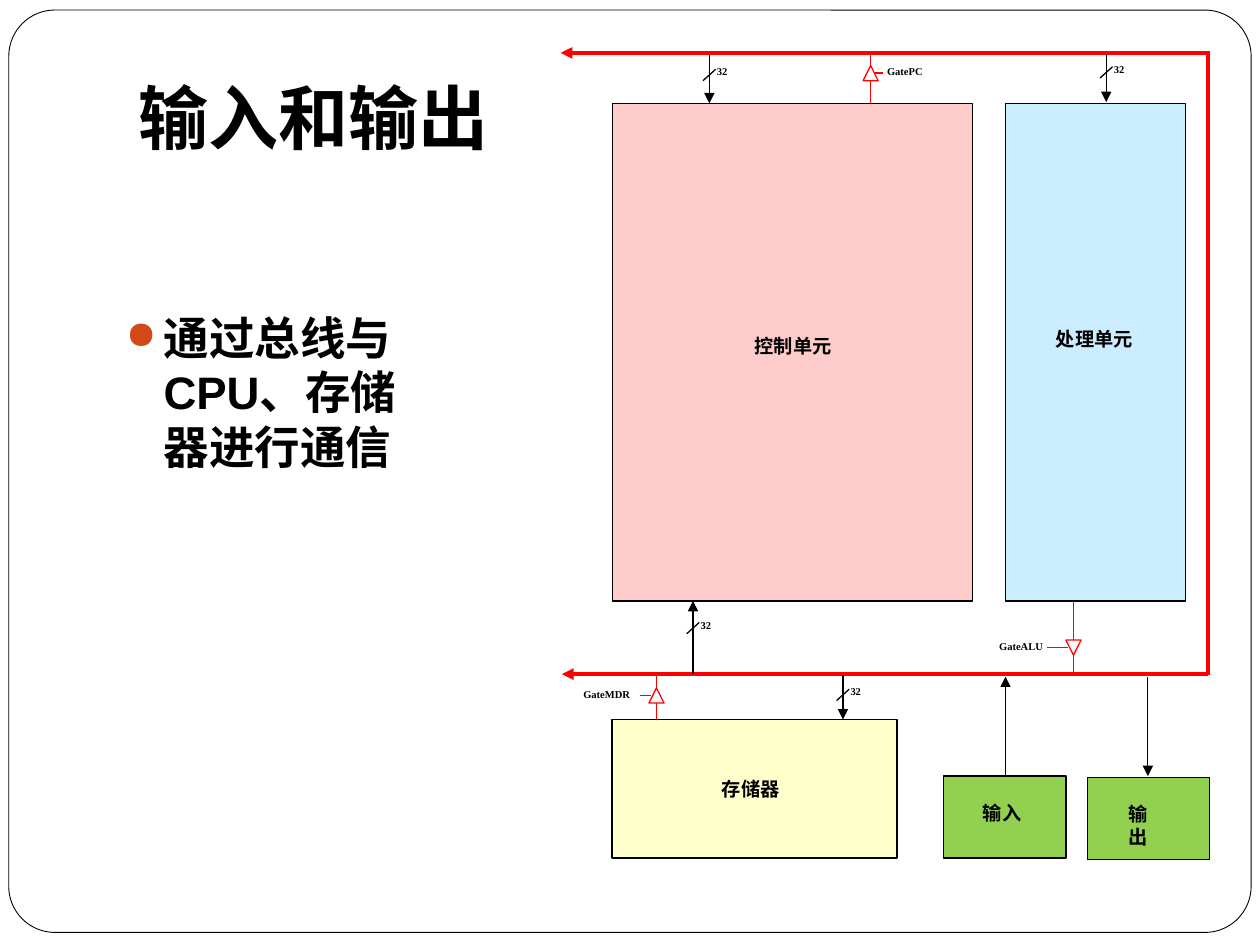
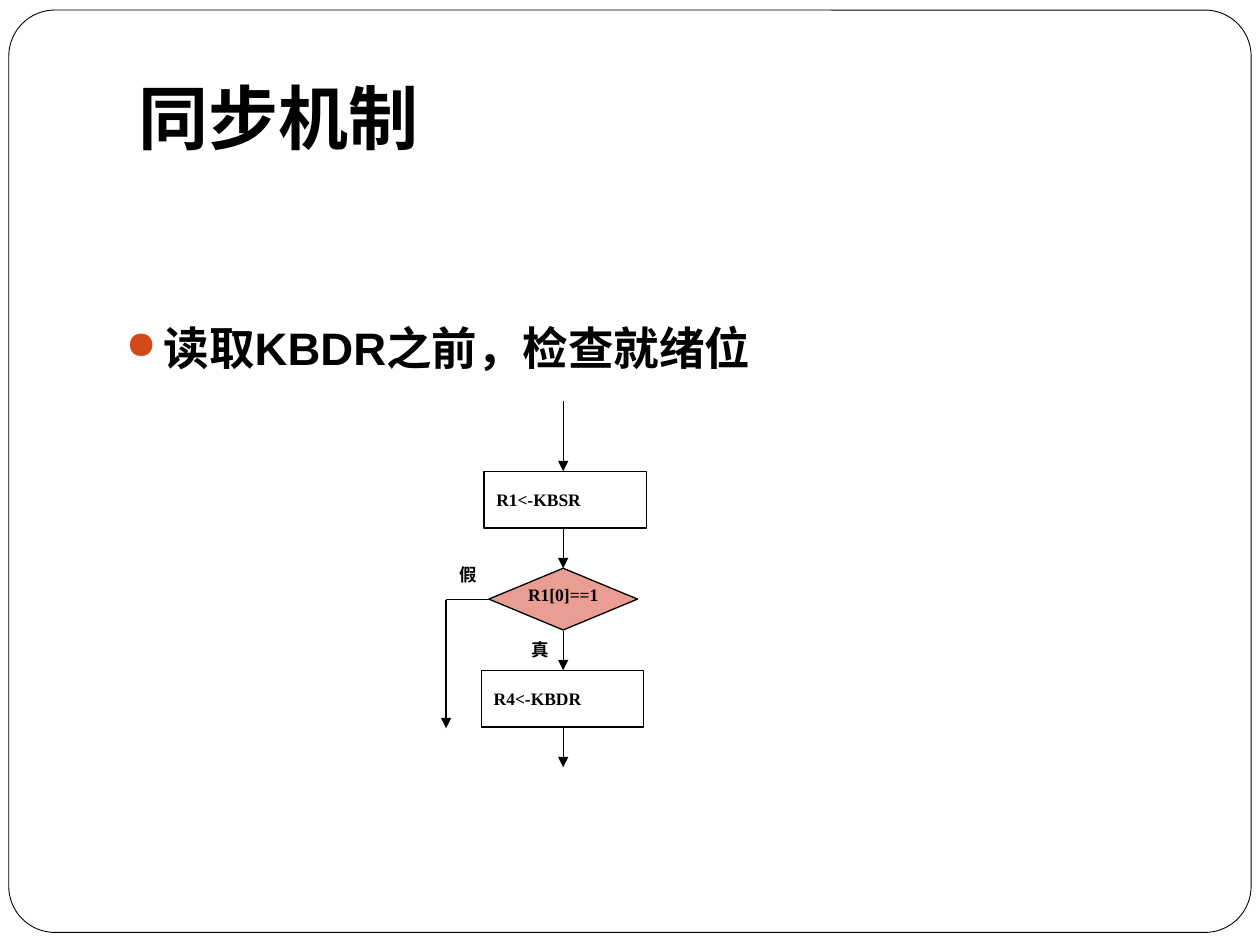
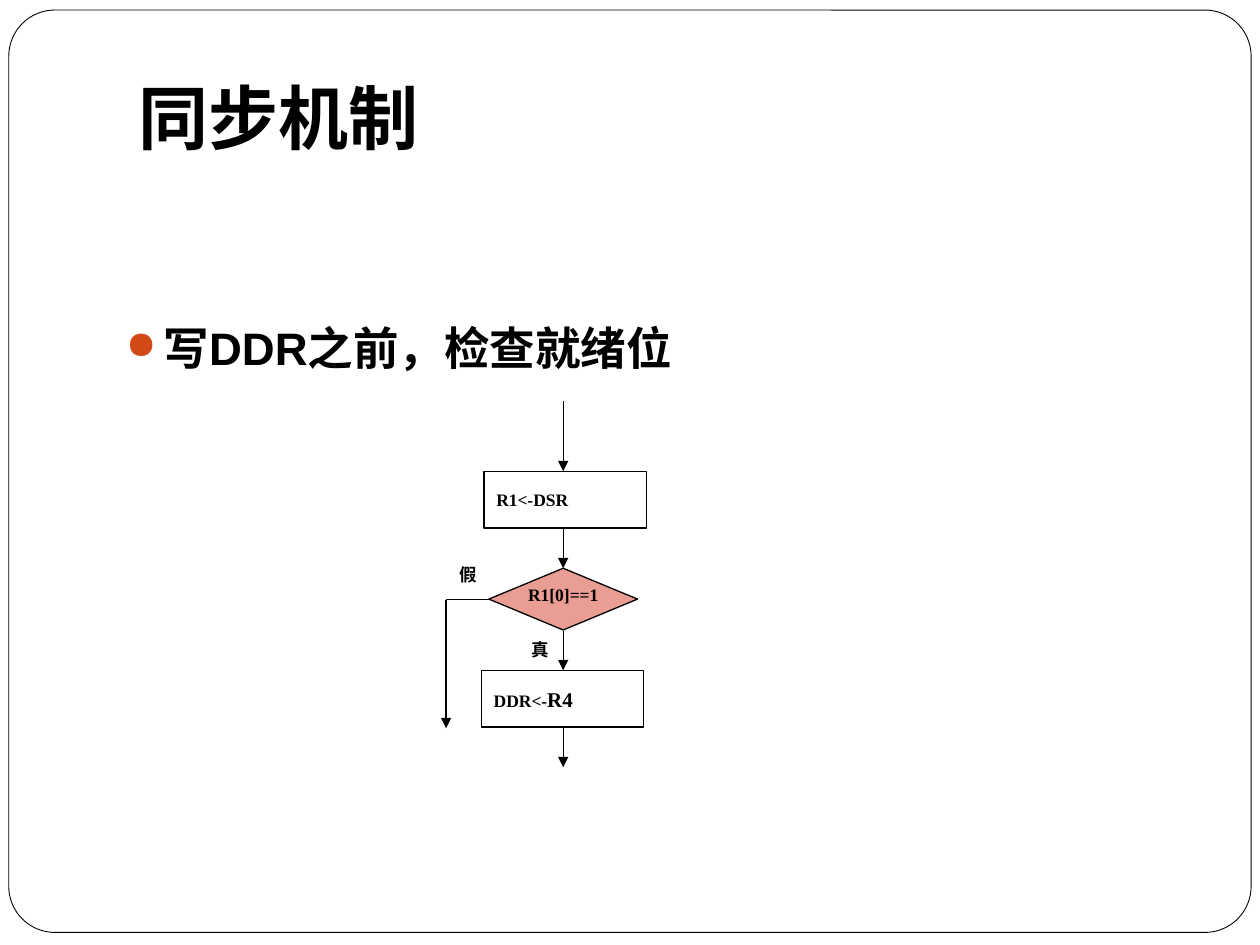
from lxml import etree
from pptx import Presentation
from pptx.dml.color import RGBColor
from pptx.enum.lang import MSO_LANGUAGE_ID
from pptx.enum.shapes import MSO_CONNECTOR, MSO_SHAPE
from pptx.enum.text import MSO_ANCHOR, PP_ALIGN
from pptx.oxml.ns import qn
from pptx.util import Inches, Pt

STRAIGHT = MSO_CONNECTOR.STRAIGHT
RECTANGLE = MSO_SHAPE.RECTANGLE
ROUNDED = MSO_SHAPE.ROUNDED_RECTANGLE
DIAMOND = MSO_SHAPE.FLOWCHART_DECISION
TRIANGLE_UP = MSO_SHAPE.FLOWCHART_EXTRACT
TRIANGLE_DOWN = MSO_SHAPE.FLOWCHART_MERGE
LEFT, CENTER, JUSTIFY = PP_ALIGN.LEFT, PP_ALIGN.CENTER, PP_ALIGN.JUSTIFY
TOP, MIDDLE = MSO_ANCHOR.TOP, MSO_ANCHOR.MIDDLE
CHINESE = MSO_LANGUAGE_ID.SIMPLIFIED_CHINESE

SANS, SERIF = "Arial", "Times New Roman"
COLORS = {
    "ink": "000000",
    "paper": "FFFFFF",
    "bus": "FF0000",
    "bullet": "D34817",
    "control": "FFCCCC",
    "processing": "CCECFF",
    "memory": "FFFFCC",
    "device": "92D050",
    "decision": "E99D93",
}
TITLE_ONLY = 5


def color(name):
    return RGBColor.from_string(COLORS[name])


# Text
def add_bullet(para):
    properties = para._p.get_or_add_pPr()
    properties.set("marL", str(Inches(0.3)))
    properties.set("indent", str(Inches(-0.3)))
    bullet_color = etree.SubElement(properties, qn("a:buClr"))
    etree.SubElement(bullet_color, qn("a:srgbClr"), val=COLORS["bullet"])
    etree.SubElement(properties, qn("a:buSzPct"), val="85000")
    etree.SubElement(properties, qn("a:buChar"), char="●")


def write(shape, text, size=10, font=SERIF, align=LEFT, anchor=TOP,
          insets=(0, 0), bullet=False):
    """Fill a shape with one bold paragraph; text is a string or (text, size) pairs."""
    frame = shape.text_frame
    frame.word_wrap = True
    frame.vertical_anchor = anchor
    frame.margin_left = frame.margin_right = Inches(insets[0])
    frame.margin_top = frame.margin_bottom = Inches(insets[1])
    para = frame.paragraphs[0]
    para.alignment = align
    if bullet:
        add_bullet(para)
    for words, points in [(text, size)] if isinstance(text, str) else text:
        span = para.add_run()
        span.text = words
        span.font.name = font
        span.font.size = Pt(points)
        span.font.bold = True
        span.font.color.rgb = color("ink")
        span.font.language_id = CHINESE


def add_label(page, text, left, top, width, height, **style):
    box = page.shapes.add_textbox(*map(Inches, (left, top, width, height)))
    write(box, text, **style)


# Shapes and lines
def add_block(page, kind, left, top, width, height, fill=None, line="ink", weight=0.75):
    block = page.shapes.add_shape(kind, *map(Inches, (left, top, width, height)))
    block.shadow.inherit = False
    if fill:
        block.fill.solid()
        block.fill.fore_color.rgb = color(fill)
    else:
        block.fill.background()
    block.line.color.rgb = color(line)
    block.line.width = Pt(weight)
    return block


def add_line(page, start, end, line="ink", weight=0.75, arrow=False):
    link = page.shapes.add_connector(STRAIGHT, *map(Inches, (*start, *end)))
    link.line.color.rgb = color(line)
    link.line.width = Pt(weight)
    if arrow:
        etree.SubElement(link.line._get_or_add_ln(), qn("a:tailEnd"), type="triangle")
    etree.SubElement(link._element.spPr, qn("a:effectLst"))


# Slide base: frame, title and bullet text
def add_page(deck, title, bullet, area):
    page = deck.slides.add_slide(deck.slide_layouts[TITLE_ONLY])
    heading = page.shapes.title
    heading.left, heading.top = Inches(1), Inches(0.3)
    heading.width, heading.height = Inches(8.5), Inches(1.25)
    write(heading, title, size=40, font=SANS, anchor=MIDDLE, insets=(0.1, 0.05))
    frame = add_block(page, ROUNDED, 0.07, 0.08, 9.86, 7.32, "paper", weight=0.5)
    frame.adjustments[0] = 0.05
    heading.element.addprevious(frame.element)
    add_label(page, bullet, *area, size=26, font=SANS, insets=(0.1, 0.05), bullet=True)
    return page


# Bus diagram parts
def add_tap(page, x, start, end, slash_y):
    """Black arrow between bus and unit, marked as 32 bits wide."""
    add_line(page, (x, start), (x, end), arrow=True)
    add_line(page, (x + 0.05, slash_y - 0.05), (x - 0.05, slash_y + 0.04))
    add_label(page, "32", x + 0.06, slash_y - 0.08, 0.12, 0.17, size=6)


def add_gate(page, name, kind, x, top, bottom, gate_top, lead, label_left):
    """Red wire with a triangular gate, a control lead and a name."""
    size = 0.12
    add_line(page, (x, top), (x, gate_top), "bus")
    add_line(page, (x, gate_top + size), (x, bottom), "bus")
    add_block(page, kind, x - size / 2, gate_top, size, size, line="bus")
    lead_y = gate_top + size / 2
    add_line(page, (lead[0], lead_y), (lead[1], lead_y), "bus")
    add_label(page, name, label_left, gate_top, 0.47, 0.17, size=6)


def build_bus_slide(deck):
    page = add_page(deck, "输入和输出", "通过总线与CPU、存储器进行通信", (0.9, 2.41, 2.6, 3))
    # Units: block place, fill, outline, name and label place
    units = [
        ((7.98, 0.82, 1.43, 3.95), "processing", 0.75, "处理单元", (8.38, 2.6, 0.81, 0.39)),
        ((4.86, 0.82, 2.86, 3.95), "control", 0.75, "控制单元", (5.99, 2.65, 0.84, 0.39)),
        ((4.86, 5.71, 2.26, 1.1), "memory", 1, "存储器", (5.73, 6.17, 0.48, 0.24)),
        ((7.49, 6.16, 0.97, 0.65), "device", 0.75, "输入", (7.8, 6.36, 0.4, 0.18)),
        ((8.63, 6.17, 0.97, 0.65), "device", 0.75, "输出", (8.96, 6.37, 0.3, 0.17)),
    ]
    for place, fill, weight, name, label_place in units:
        add_block(page, RECTANGLE, *place, fill, weight=weight)
        add_label(page, name, *label_place, size=11)
    # Bus
    add_line(page, (9.6, 0.42), (4.45, 0.42), "bus", 2.25, arrow=True)
    add_line(page, (9.59, 0.42), (9.59, 5.36), "bus", 2.25)
    add_line(page, (9.59, 5.35), (4.46, 5.35), "bus", 2.25, arrow=True)
    # Connections
    for tap in [(5.5, 5.35, 4.77, 4.99), (6.69, 5.36, 5.71, 5.52),
                (5.63, 0.44, 0.82, 0.6), (8.78, 0.43, 0.81, 0.58)]:
        add_tap(page, *tap)
    add_gate(page, "GateALU", TRIANGLE_DOWN, 8.52, 4.77, 5.34, 5.08, (8.31, 8.48), 7.93)
    add_gate(page, "GateMDR", TRIANGLE_UP, 5.21, 5.35, 5.71, 5.46, (5.08, 5.17), 4.63)
    add_gate(page, "GatePC", TRIANGLE_UP, 6.91, 0.44, 0.82, 0.52, (6.94, 7.01), 7.04)
    add_line(page, (7.98, 6.15), (7.98, 5.37), arrow=True)
    add_line(page, (9.11, 5.37), (9.11, 6.16), arrow=True)


def build_polling_slide(deck, bullet, area, status_step, data_step):
    page = add_page(deck, "同步机制", bullet, area)
    # Steps
    for left, top, step in [(3.84, 3.74, status_step), (3.82, 5.32, data_step)]:
        block = add_block(page, RECTANGLE, left, top, 1.29, 0.45, "paper")
        write(block, step, anchor=MIDDLE, insets=(0.1, 0))
    decision = add_block(page, DIAMOND, 3.88, 4.51, 1.18, 0.49, "decision")
    write(decision, "R1[0]==1", align=CENTER)
    # Flow
    for start, end in [(3.18, 3.74), (4.19, 4.51), (5.01, 5.32), (5.78, 6.09)]:
        add_line(page, (4.47, start), (4.47, end), arrow=True)
    add_line(page, (3.54, 4.76), (3.88, 4.76))
    add_line(page, (3.54, 4.76), (3.54, 5.78), arrow=True)
    for text, left, top in [("假", 3.55, 4.43), ("真", 4.12, 5.02)]:
        add_label(page, text, left, top, 0.35, 0.33, align=JUSTIFY, insets=(0.1, 0.05))


def main():
    deck = Presentation()
    deck.slide_width, deck.slide_height = Inches(10), Inches(7.5)
    build_bus_slide(deck)
    build_polling_slide(deck, "读取KBDR之前，检查就绪位", (0.9, 2.49, 8.27, 0.79),
                        "R1<-KBSR", "R4<-KBDR")
    build_polling_slide(deck, "写DDR之前，检查就绪位", (0.9, 2.49, 8.27, 4.33),
                        "R1<-DSR", [("DDR<-", 10), ("R4", 12)])
    deck.save("out.pptx")


if __name__ == "__main__":
    main()
